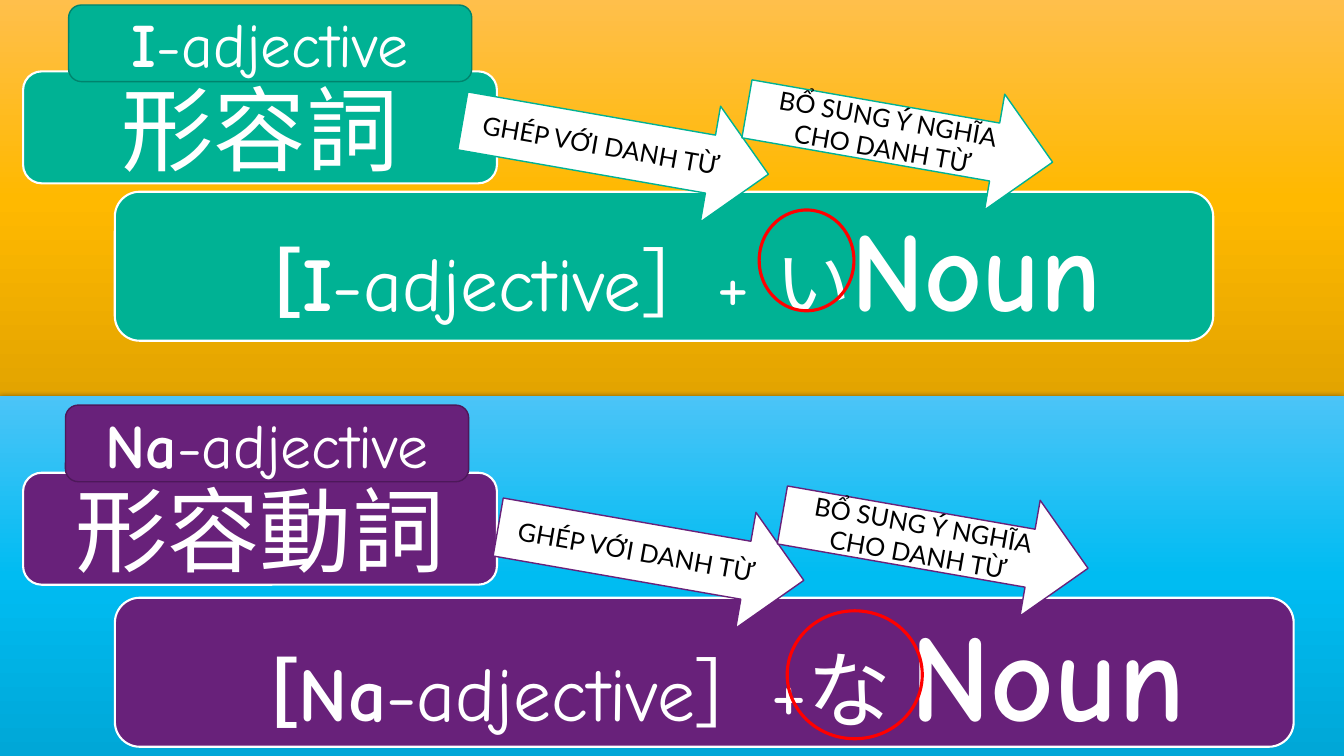
from copy import deepcopy

from lxml import etree
from pptx import Presentation
from pptx.dml.color import RGBColor
from pptx.enum.shapes import MSO_SHAPE
from pptx.enum.text import MSO_ANCHOR, PP_ALIGN
from pptx.oxml import parse_xml
from pptx.oxml.ns import qn
from pptx.util import Pt

RECT, ROUNDED = MSO_SHAPE.RECTANGLE, MSO_SHAPE.ROUNDED_RECTANGLE
ARROW, OVAL = MSO_SHAPE.RIGHT_ARROW, MSO_SHAPE.OVAL
MIDDLE, CENTER = MSO_ANCHOR.MIDDLE, PP_ALIGN.CENTER
HAND, SANS, KANJI = "Comic Neue", "Lato", "Noto Sans CJK JP"
COLORS = {
    "white": "FFFFFF", "black": "000000", "red": "FF0000",
    "green": "00B294", "dark green": "00846D",
    "purple": "68217A", "dark purple": "4D185A",
}
SHADOW = (
    '<a:effectLst xmlns:a="http://schemas.openxmlformats.org/drawingml/2006/main">'
    '<a:outerShdw blurRad="57150" dist="19050" dir="5400000" algn="ctr" rotWithShape="0">'
    '<a:srgbClr val="000000"><a:alpha val="63000"/></a:srgbClr>'
    '</a:outerShdw></a:effectLst>'
)

HALVES = [
    {
        "sky": (0, 283), "gradient": ["FFBF4B", "FFB900", "E3A400"],
        "color": "green", "edge": "dark green",
        "kanji": "形容詞", "kanji top": 51,
        "prefix": "I", "label": (49, 3.6),
        "formula": (82, 137, 784.6, 106.4),
        "formula runs": [("［I", 54, True), ("-adjective］+ い", 54, False), ("Noun", 80, True)],
        "arrow": (328.9, 63.4), "circle": (542.3, 150, 67.7, 72),
    },
    {
        "sky": (283, 257), "gradient": ["4BC4F7", "00BCF2", "00A7D7"],
        "color": "purple", "edge": "dark purple",
        "kanji": "形容動詞", "kanji top": 337.7,
        "prefix": "Na", "label": (46.8, 289.4),
        "formula": (82.1, 427, 842, 106.4),
        "formula runs": [("［Na", 54, True), ("-adjective］", 54, False),
                         ("+な ", 60, False), ("Noun", 88, True)],
        "arrow": (354.2, 353.5), "circle": (562.3, 436.3, 96.5, 91.4),
    },
]
ARROW_TEXTS = ["GHÉP VỚI DANH TỪ", "BỔ SUNG Ý NGHĨA CHO DANH TỪ"]

prs = Presentation()
prs.slide_width, prs.slide_height = Pt(960), Pt(540)
slide = prs.slides.add_slide(prs.slide_layouts[6])


def add_block(kind, box, fill=None, line=None, width=1):
    block = slide.shapes.add_shape(kind, *[Pt(v) for v in box])
    block.shadow.inherit = False
    if fill:
        block.fill.solid()
        block.fill.fore_color.rgb = RGBColor.from_string(COLORS[fill])
    else:
        block.fill.background()
    if line:
        block.line.color.rgb = RGBColor.from_string(COLORS[line])
        block.line.width = Pt(width)
    else:
        block.line.fill.background()
    return block


def write(block, runs, font, color="white"):
    frame = block.text_frame
    frame.word_wrap = True
    frame.vertical_anchor = MIDDLE
    paragraph = frame.paragraphs[0]
    paragraph.alignment = CENTER
    for text, size, bold in runs:
        run = paragraph.add_run()
        run.text = text
        run.font.name = font
        run.font.size = Pt(size)
        run.font.bold = bold
        run.font.color.rgb = RGBColor.from_string(COLORS[color])
        if font != SANS:
            east_asian = etree.SubElement(run.font._element, qn("a:ea"))
            east_asian.set("typeface", KANJI)


for half in HALVES:
    top, height = half["sky"]
    sky = add_block(RECT, (0, top, 960, height))
    sky.fill.gradient()
    sky.fill.gradient_angle = 270
    stop_list = sky._element.spPr.find(qn("a:gradFill")).find(qn("a:gsLst"))
    stop_list.insert(1, deepcopy(stop_list[0]))
    for stop, position, shade in zip(sky.fill.gradient_stops, (0, 0.5, 1), half["gradient"]):
        stop.position = position
        stop.color.rgb = RGBColor.from_string(shade)
    effects = sky._element.spPr.find(qn("a:effectLst"))
    sky._element.spPr.replace(effects, parse_xml(SHADOW))

    color = half["color"]
    kanji = add_block(ROUNDED, (16.5, half["kanji top"], 338.5, 80), color, "white", 1.5)
    write(kanji, [(half["kanji"], 66, False)], KANJI)

    formula = add_block(ROUNDED, half["formula"], color, "white", 1.5)
    write(formula, half["formula runs"], HAND)

    left, top = half["arrow"]
    for step, text in enumerate(ARROW_TEXTS):
        arrow = add_block(ARROW, (left + 203 * step, top - 8.6 * step, 221.6, 84), "white", color)
        arrow.rotation = 9.9
        write(arrow, [(text, 18, False)], SANS, "black")

    add_block(OVAL, half["circle"], line="red", width=2.25)

    label = add_block(ROUNDED, (*half["label"], 288, 54.7), color, half["edge"])
    write(label, [(half["prefix"], 44, True), ("-adjective", 44, False)], HAND)

prs.save("out.pptx")
